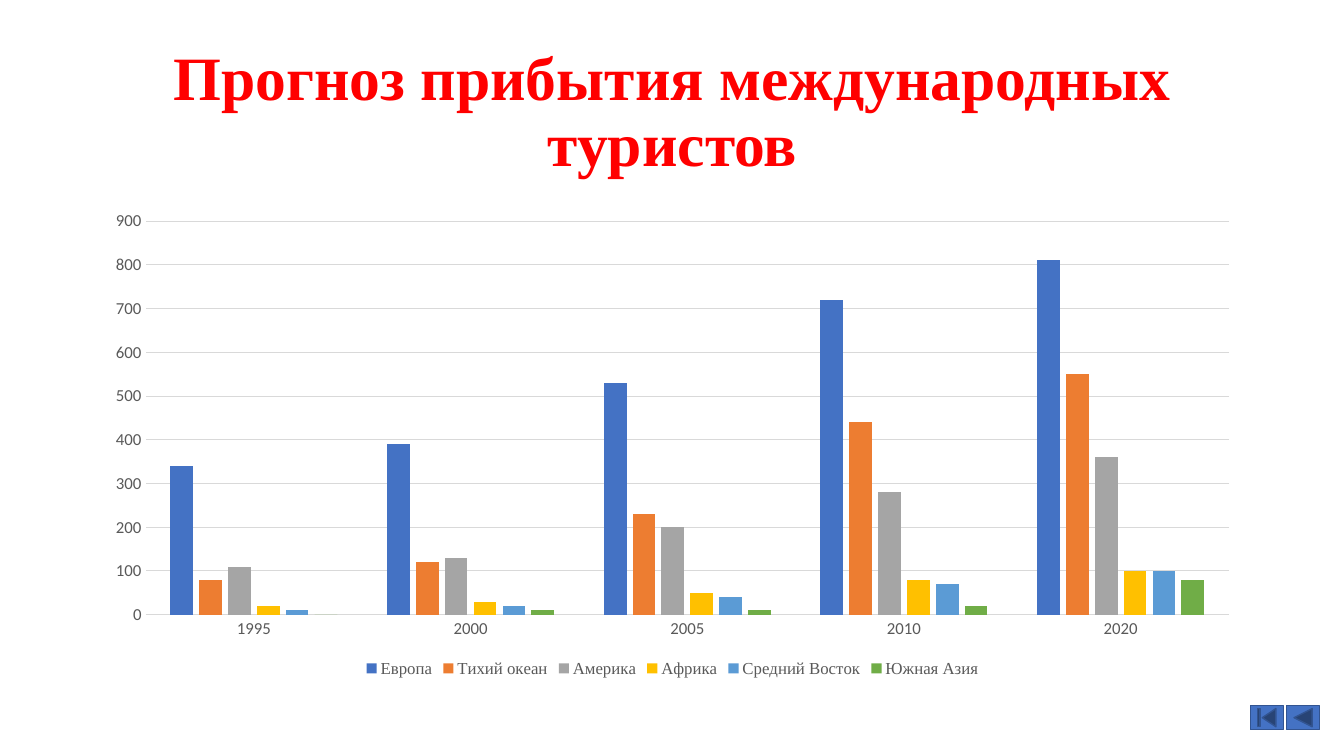
from pptx import Presentation
from pptx import util as u
from pptx.chart.data import CategoryChartData
from pptx.dml.color import RGBColor
from pptx.enum import chart as ch, shapes, text

TITLE = "Прогноз прибытия международных туристов"
YEARS = ["1995", "2000", "2005", "2010", "2020"]
ARRIVALS = {
    "Европа": (340, 390, 530, 720, 810),
    "Тихий океан": (80, 120, 230, 440, 550),
    "Америка": (110, 130, 200, 280, 360),
    "Африка": (20, 30, 50, 80, 100),
    "Средний Восток": (10, 20, 40, 70, 100),
    "Южная Азия": (0, 10, 10, 20, 80),
}
BUTTONS = [
    shapes.MSO_SHAPE.ACTION_BUTTON_BEGINNING,
    shapes.MSO_SHAPE.ACTION_BUTTON_BACK_OR_PREVIOUS,
]


class Theme:
    serif, sans = "Times New Roman", "Calibri"
    title, label, grid, button_line = "FF0000", "595959", "D9D9D9", "325491"
    series = ["4472C4", "ED7D31", "A5A5A5", "FFC000", "5B9BD5", "70AD47"]
    title_size, label_size = 44, 12
    hairline, outline = 0.75, 1


WIDTH, HEIGHT = 13.33, 7.5
MARGIN = 0.92
CONTENT_W = 11.5
TITLE_TOP, TITLE_H = 0.4, 1.45
CHART_TOP, CHART_H = 2, 4.76
BUTTON_W, BUTTON_H, BUTTON_STEP = 0.33, 0.24, 0.36
BUTTON_LEFT, BUTTON_TOP = 12.4, 7


def box(*inches):
    return [u.Inches(v) for v in inches]


def rgb(code):
    return RGBColor.from_string(code)


def set_font(font, name, size, color, bold=False):
    formats = {"name": name, "size": u.Pt(size), "bold": bold}
    for key, value in formats.items():
        setattr(font, key, value)
    font.color.rgb = rgb(color)


def set_line(line, color, width):
    line.color.rgb = rgb(color)
    line.width = u.Pt(width)


def add_title(s):
    sp = s.shapes.title
    sp.left, sp.top, sp.width, sp.height = box(MARGIN, TITLE_TOP, CONTENT_W, TITLE_H)
    tf = sp.text_frame
    tf.text = TITLE
    tf.word_wrap = True
    tf.auto_size = text.MSO_AUTO_SIZE.NONE
    tf.vertical_anchor = text.MSO_ANCHOR.MIDDLE
    p = tf.paragraphs[0]
    p.alignment = text.PP_ALIGN.CENTER
    p.line_spacing = 0.9
    set_font(p.runs[0].font, Theme.serif, Theme.title_size, Theme.title, bold=True)


def add_arrivals_chart(s):
    data = CategoryChartData()
    data.categories = YEARS
    for region, values in ARRIVALS.items():
        data.add_series(region, values)
    chart = s.shapes.add_chart(
        ch.XL_CHART_TYPE.COLUMN_CLUSTERED,
        *box(MARGIN, CHART_TOP, CONTENT_W, CHART_H), data).chart
    chart.has_title = False
    chart.font.name = Theme.sans

    plot = chart.plots[0]
    plot.gap_width, plot.overlap, plot.vary_by_categories = 219, -27, False
    for series, color in zip(plot.series, Theme.series):
        series.format.fill.solid()
        series.format.fill.fore_color.rgb = rgb(color)

    for axis in (chart.category_axis, chart.value_axis):
        axis.major_tick_mark = axis.minor_tick_mark = ch.XL_TICK_MARK.NONE
        set_font(axis.tick_labels.font, Theme.sans, Theme.label_size, Theme.label)
    set_line(chart.category_axis.format.line, Theme.grid, Theme.hairline)
    values = chart.value_axis
    values.minimum_scale, values.maximum_scale, values.major_unit = 0, 900, 100
    values.format.line.fill.background()
    set_line(values.major_gridlines.format.line, Theme.grid, Theme.hairline)

    chart.has_legend = True
    chart.legend.position = ch.XL_LEGEND_POSITION.BOTTOM
    chart.legend.include_in_layout = False
    set_font(chart.legend.font, Theme.serif, Theme.label_size, Theme.label)


def add_buttons(s):
    for i, kind in enumerate(BUTTONS):
        sp = s.shapes.add_shape(
            kind, *box(BUTTON_LEFT + i * BUTTON_STEP, BUTTON_TOP, BUTTON_W, BUTTON_H))
        sp.shadow.inherit = False
        sp.fill.solid()
        sp.fill.fore_color.rgb = rgb(Theme.series[0])
        set_line(sp.line, Theme.button_line, Theme.outline)


def main():
    prs = Presentation()
    prs.slide_width, prs.slide_height = box(WIDTH, HEIGHT)
    s = prs.slides.add_slide(prs.slide_layouts.get_by_name("Title Only"))
    add_title(s)
    add_arrivals_chart(s)
    add_buttons(s)
    prs.save("out.pptx")


if __name__ == "__main__":
    main()
